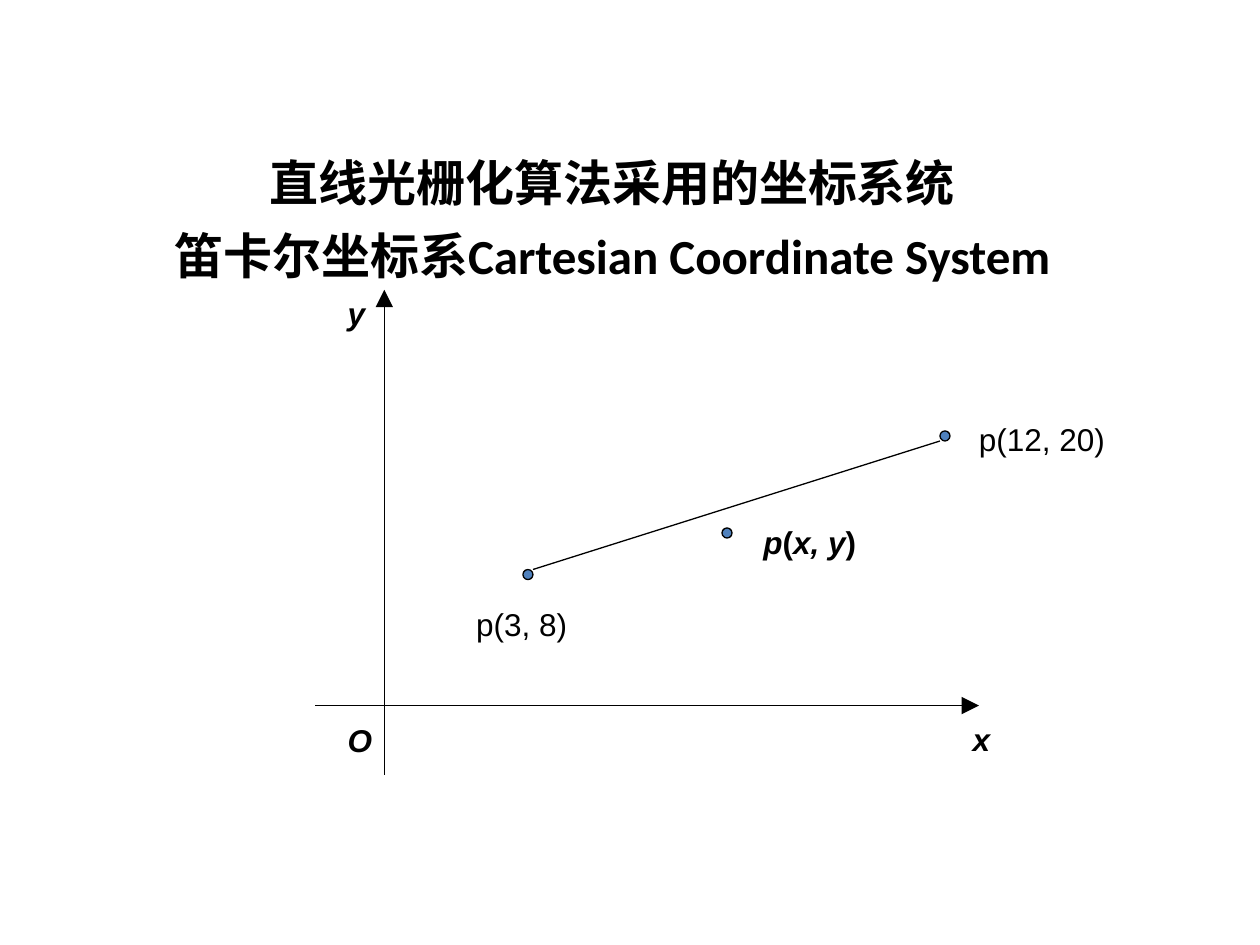
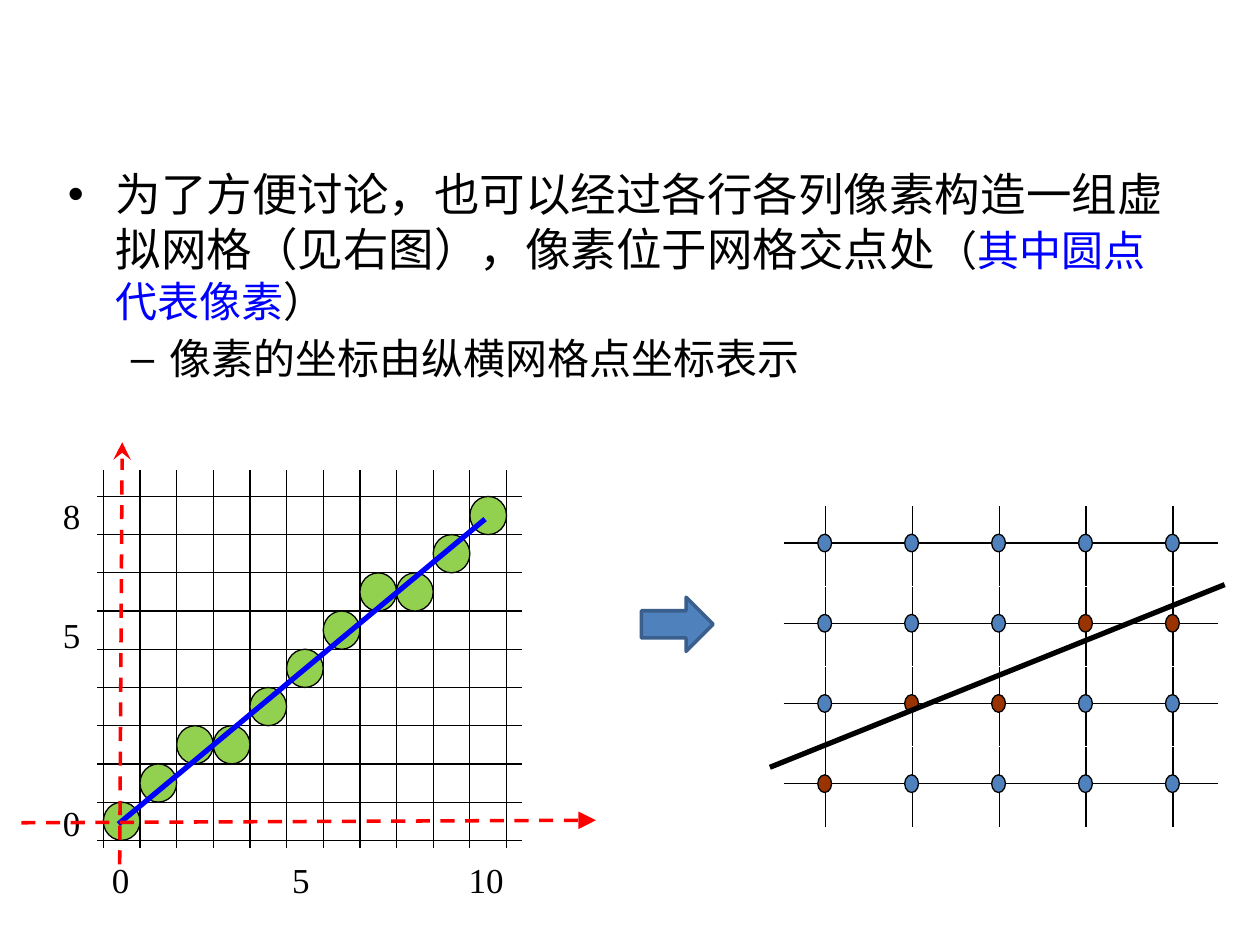
from lxml import etree
from pptx import Presentation
from pptx.dml.color import RGBColor
from pptx.enum.dml import MSO_LINE
from pptx.enum.shapes import MSO_CONNECTOR, MSO_SHAPE
from pptx.enum.text import MSO_ANCHOR, PP_ALIGN
from pptx.oxml.ns import qn
from pptx.util import Inches, Pt

BLACK = RGBColor(0x00, 0x00, 0x00)
BLUE = RGBColor(0x00, 0x00, 0xFF)
RED = RGBColor(0xFF, 0x00, 0x00)
STEEL = RGBColor(0x4F, 0x81, 0xBD)
STEEL_DARK = RGBColor(0x3A, 0x5F, 0x8C)
GREEN = RGBColor(0x92, 0xD0, 0x50)
BROWN = RGBColor(0x99, 0x33, 0x00)

CJK = "Noto Sans CJK SC"
LATIN = "Calibri"
LABEL = "Arial"
SCALE = "Times New Roman"


def add_run(paragraph, text, size, font, color=BLACK, bold=False, italic=False):
    run = paragraph.add_run()
    run.text = text
    run.font.size = Pt(size)
    run.font.name = font
    run.font.bold = bold
    run.font.italic = italic
    run.font.color.rgb = color
    if font == CJK:
        etree.SubElement(run.font._element, qn("a:ea"), typeface=font)


def add_text_frame(slide, left, top, width, height, wrap=True):
    box = slide.shapes.add_textbox(
        Inches(left), Inches(top), Inches(width), Inches(height))
    box.text_frame.word_wrap = wrap
    return box.text_frame


def add_label(slide, left, top, width, height, runs, size, font,
              bold=False, wrap=True):
    """One-line label; runs are (text, italic) pairs."""
    frame = add_text_frame(slide, left, top, width, height, wrap)
    paragraph = frame.paragraphs[0]
    paragraph.line_spacing = 1.25
    for text, italic in runs:
        add_run(paragraph, text, size, font, bold=bold, italic=italic)


def add_line(slide, start, end, color=BLACK, width=0.75, dash=None, arrow=None):
    line = slide.shapes.add_connector(
        MSO_CONNECTOR.STRAIGHT, *(Inches(v) for v in (*start, *end)))
    line.line.color.rgb = color
    line.line.width = Pt(width)
    if dash:
        line.line.dash_style = dash
    properties = line._element.spPr
    if arrow:
        etree.SubElement(properties.find(qn("a:ln")), qn("a:tailEnd"),
                         type=arrow, w="lg", len="lg")
    etree.SubElement(properties, qn("a:effectLst"))


def add_shape(slide, kind, left, top, width, height, fill, outline=BLACK,
              weight=0.75):
    shape = slide.shapes.add_shape(
        kind, Inches(left), Inches(top), Inches(width), Inches(height))
    shape.shadow.inherit = False
    shape.fill.solid()
    shape.fill.fore_color.rgb = fill
    shape.line.color.rgb = outline
    shape.line.width = Pt(weight)


def add_bullet(paragraph, mark, left, hanging):
    properties = paragraph._p.get_or_add_pPr()
    properties.set("marL", str(Inches(left)))
    properties.set("indent", str(-Inches(hanging)))
    etree.SubElement(properties, qn("a:buFont"), typeface=LABEL)
    etree.SubElement(properties, qn("a:buChar"), char=mark)


def build_cartesian_slide(slide):
    # Title
    title = add_text_frame(slide, 0.36, 1.05, 9, 1.25)
    title.vertical_anchor = MSO_ANCHOR.MIDDLE
    for number, runs in enumerate([
            [("直线光栅化算法采用的坐标系统", CJK)],
            [("笛卡尔坐标系", CJK), ("Cartesian Coordinate System", LATIN)]]):
        paragraph = title.add_paragraph() if number else title.paragraphs[0]
        paragraph.alignment = PP_ALIGN.CENTER
        paragraph.line_spacing = 1.25
        for text, font in runs:
            add_run(paragraph, text, 28, font, bold=True)

    # Axes
    add_line(slide, (2.5, 5.6), (7.77, 5.6), arrow="triangle")
    add_line(slide, (3.05, 6.15), (3.05, 2.3), arrow="triangle")
    for name, left, top in [("O", 2.66, 5.6), ("x", 7.62, 5.59), ("y", 2.66, 2.21)]:
        add_label(slide, left, top, 1.02, 0.4, [(name, True)], 18, LABEL, bold=True)

    # Segment and points
    add_line(slide, (4.23, 4.52), (7.46, 3.5))
    for left, top in [(5.73, 4.19), (4.15, 4.52), (7.46, 3.42)]:
        add_shape(slide, MSO_SHAPE.OVAL, left, top, 0.08, 0.08, STEEL)
    add_label(slide, 5.96, 4.03, 1.02, 0.4,
              [("p", True), ("(", False), ("x, y", True), (")", False)],
              18, LABEL, bold=True)
    for text, left, top, width in [("p(12, 20)", 7.67, 3.21, 1.2),
                                   ("p(3, 8)", 3.68, 4.68, 0.92)]:
        add_label(slide, left, top, width, 0.4, [(text, False)], 18, LABEL, wrap=False)


def draw_cell_raster(slide):
    left, right, top, bottom = 0.82, 4.02, 3.94, 6.67
    columns, rows = 11, 9
    cell_w, cell_h = (right - left) / columns, (bottom - top) / rows

    # Grid
    for column in range(columns + 1):
        x = left + column * cell_w
        add_line(slide, (x, 3.73), (x, 6.73))
    for row in range(rows + 1):
        y = bottom - row * cell_h
        add_line(slide, (0.77, y), (4.14, y))

    # Scale numbers
    for text, x, y, width in [("0", 0.79, 6.68, 0.34), ("5", 2.22, 6.68, 0.34),
                              ("10", 3.62, 6.68, 0.48), ("0", 0.4, 6.23, 0.34),
                              ("5", 0.4, 4.74, 0.34), ("8", 0.4, 3.79, 0.34)]:
        add_label(slide, x, y, width, 0.52, [(text, False)], 20, SCALE, wrap=False)

    # Lit cells, ideal line and axes
    for column, row in enumerate([0, 1, 2, 2, 3, 4, 5, 6, 6, 7, 8]):
        add_shape(slide, MSO_SHAPE.OVAL, left + column * cell_w,
                  bottom - (row + 1) * cell_h, cell_w, cell_h, GREEN)
    add_line(slide, (0.94, 6.54), (3.85, 4.12), BLUE, 3)
    add_line(slide, (0.17, 6.53), (4.73, 6.51), RED, 2, MSO_LINE.DASH, "triangle")
    add_line(slide, (0.95, 6.86), (0.97, 3.51), RED, 2, MSO_LINE.DASH, "stealth")


def draw_point_raster(slide):
    lit = {(0, 3), (1, 2), (2, 2), (3, 1), (4, 1)}
    row_pitch = (6.22 - 4.31) / 3
    for column in range(5):
        for row in range(4):
            x, y = 6.55 + column * 0.69, 4.31 + row * row_pitch
            add_line(slide, (x - 0.33, y), (x + 0.36, y))
            add_line(slide, (x, y - 0.29), (x, y + 0.34))
            add_shape(slide, MSO_SHAPE.OVAL, x - 0.06, y - 0.07, 0.11, 0.14,
                      BROWN if (column, row) in lit else STEEL)
    add_line(slide, (6.11, 6.09), (9.72, 4.64), width=3)


def build_grid_slide(slide):
    # Body text
    body = add_text_frame(slide, 0.44, 1.27, 9, 1.04)
    point = body.paragraphs[0]
    add_bullet(point, "•", 0.38, 0.38)
    for text, size, color in [
            ("为了方便讨论，也可以经过各行各列像素构造一组虚拟网格（见右图），"
             "像素位于网格交点处", 26, BLACK),
            ("（", 24, BLACK), ("其中圆点代表像素", 24, BLUE), ("）", 24, BLACK)]:
        add_run(point, text, size, CJK, color)
    detail = body.add_paragraph()
    detail.level = 1
    detail.space_before = Pt(4)
    add_bullet(detail, "–", 0.81, 0.31)
    add_run(detail, "像素的坐标由纵横网格点坐标表示", 24, CJK)

    # From cells to grid points
    draw_cell_raster(slide)
    draw_point_raster(slide)
    add_shape(slide, MSO_SHAPE.RIGHT_ARROW, 5.09, 4.74, 0.57, 0.43,
              STEEL, STEEL_DARK, 2)


def main():
    deck = Presentation()
    deck.slide_width, deck.slide_height = Inches(10), Inches(7.5)
    blank = deck.slide_layouts[6]
    for build in (build_cartesian_slide, build_grid_slide):
        build(deck.slides.add_slide(blank))
    deck.save("out.pptx")


main()
